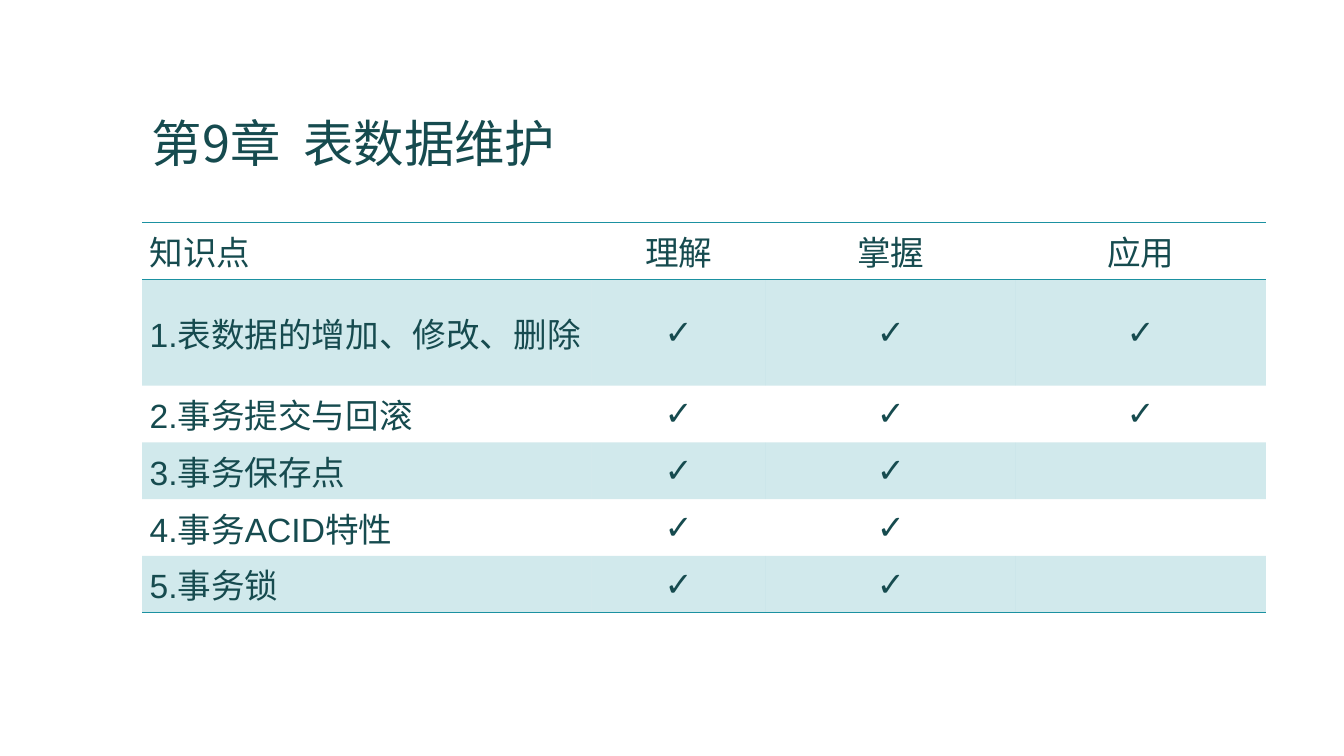
from dataclasses import dataclass

from lxml import etree
from pptx import Presentation
from pptx import util as u
from pptx.dml.color import RGBColor
from pptx.enum import text
from pptx.oxml import ns


@dataclass(frozen=True)
class Theme:
    ink: str = "164B4F"
    accent: str = "1B91A1"
    band_alpha: int = 20000
    title_size: int = 36
    body_size: int = 24
    latin: str = "Arial"
    chinese: str = "Noto Sans CJK SC"


theme = Theme()


def write(frame, words, size=theme.body_size, font=theme.latin,
          align=text.PP_ALIGN.LEFT, spacing=1.0):
    para = frame.paragraphs[0]
    para.alignment = align
    para.line_spacing = spacing
    span = para.add_run()
    span.text = words
    span.font.size = u.Pt(size)
    span.font.name = font
    span.font.color.rgb = RGBColor.from_string(theme.ink)
    east_asian = etree.SubElement(span.font._element, ns.qn("a:ea"))
    east_asian.set("typeface", theme.chinese)


def add_border(cell, side, visible):
    line = etree.SubElement(cell._tc.get_or_add_tcPr(), ns.qn(f"a:ln{side}"))
    line.set("w", str(u.Pt(1)))
    if visible:
        fill = etree.SubElement(line, ns.qn("a:solidFill"))
        etree.SubElement(fill, ns.qn("a:srgbClr")).set("val", theme.accent)
    else:
        etree.SubElement(line, ns.qn("a:noFill"))


deck = Presentation()
deck.slide_width, deck.slide_height = u.Cm(33.87), u.Cm(19.05)
page = deck.slides.add_slide(deck.slide_layouts[6])

# Title
box = page.shapes.add_textbox(u.Cm(3.58), u.Cm(1.32), u.Cm(26.67), u.Cm(3.18))
box.text_frame.word_wrap = True
box.text_frame.vertical_anchor = text.MSO_ANCHOR.BOTTOM
write(box.text_frame, "第9章  表数据维护", size=theme.title_size,
      font=theme.chinese, spacing=0.9)

# Knowledge points and the level each one asks for
header = ["知识点", "理解", "掌握", "应用"]
topics = [
    ("1.表数据的增加、修改、删除", 3),
    ("2.事务提交与回滚", 3),
    ("3.事务保存点", 2),
    ("4.事务ACID特性", 2),
    ("5.事务锁", 2),
]
rows = [header] + [[topic] + ["✓"] * level + [""] * (3 - level)
                   for topic, level in topics]
column_widths = [11.33, 4.39, 6.3, 6.3]
row_heights = [1.43, 2.68] + [1.43] * 4

table = page.shapes.add_table(
    len(rows), len(header), u.Cm(3.58), u.Cm(5.61),
    u.Cm(sum(column_widths)), u.Cm(sum(row_heights))).table
table.first_row = False
table.horz_banding = False
for column, width in zip(table.columns, column_widths):
    column.width = u.Cm(width)
for row, height in zip(table.rows, row_heights):
    row.height = u.Cm(height)

last = len(rows) - 1
for r, row in enumerate(rows):
    for c, words in enumerate(row):
        cell = table.cell(r, c)
        cell.vertical_anchor = text.MSO_ANCHOR.MIDDLE
        cell.margin_left = cell.margin_right = u.Cm(0.19)
        cell.margin_top = cell.margin_bottom = u.Cm(0.1)
        if words:
            write(cell.text_frame, words,
                  align=text.PP_ALIGN.CENTER if c else text.PP_ALIGN.LEFT)

        # Rules above and below the header and under the last row
        for side, visible in (("L", False), ("R", False),
                              ("T", r in (0, 1)), ("B", r in (0, last))):
            add_border(cell, side, visible)

        # Tinted odd rows
        if r % 2:
            cell.fill.solid()
            cell.fill.fore_color.rgb = RGBColor.from_string(theme.accent)
            tint = cell._tc.tcPr.find(ns.qn("a:solidFill")).find(ns.qn("a:srgbClr"))
            etree.SubElement(tint, ns.qn("a:alpha")).set("val", str(theme.band_alpha))
        else:
            cell.fill.background()

deck.save("out.pptx")
